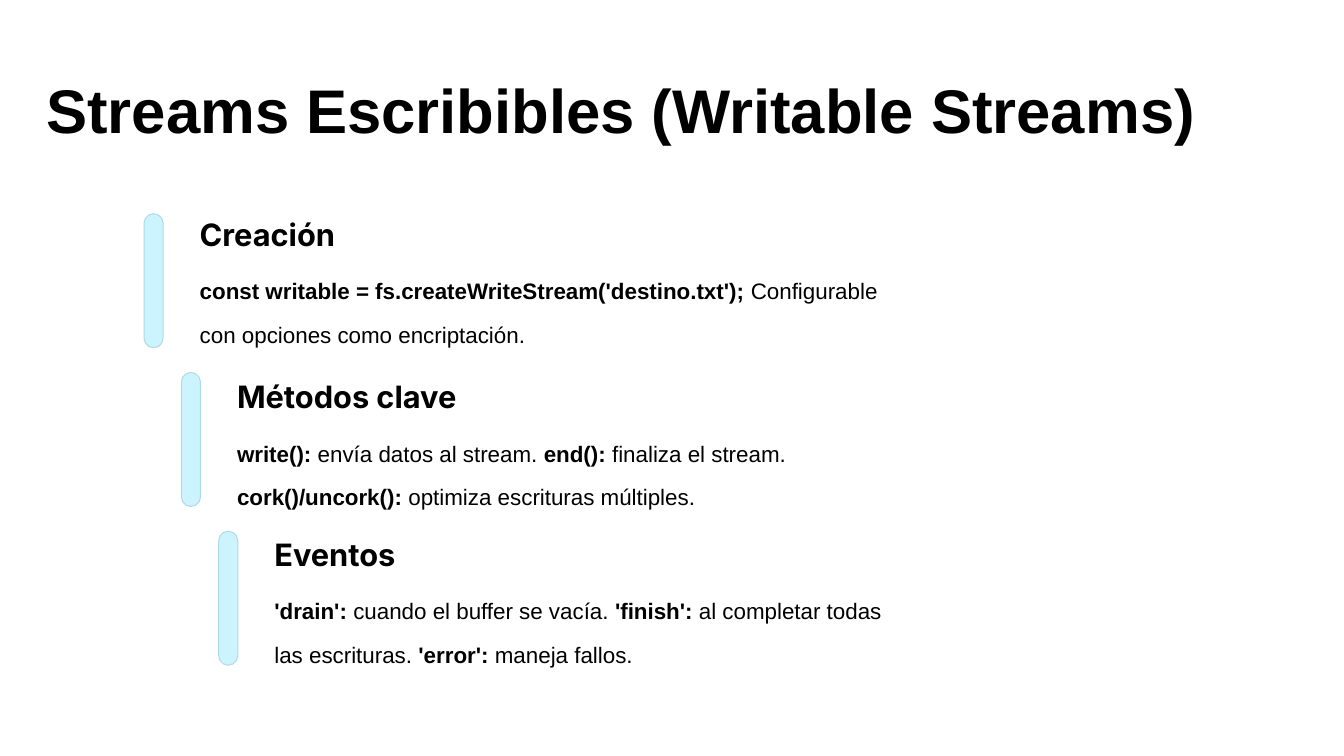
import pptx
import pptx.dml.color
import pptx.enum.shapes
import pptx.enum.text
import pptx.util

BLACK = pptx.dml.color.RGBColor(0x00, 0x00, 0x00)
WHITE = pptx.dml.color.RGBColor(0xFF, 0xFF, 0xFF)
PALE_CYAN = pptx.dml.color.RGBColor(0xCC, 0xF4, 0xFF)
SOFT_BLUE = pptx.dml.color.RGBColor(0xB2, 0xDA, 0xE5)

WIDTH = pptx.util.Inches(13.33)
HEIGHT = pptx.util.Inches(7.5)
COLUMN = WIDTH / 36
ROW = HEIGHT / 100

FIRST_BAR_COLUMN = 3.86
FIRST_BAR_ROW = 28.27
SECTION_ROWS = 21
TEXT_INDENT = 1.49
BODY_DROP = 7.15
BODY_RIGHT = 24.03

SECTIONS = [
    ("Creación", 27.33, [
        ("const writable = fs.createWriteStream('destino.txt'); ", True),
        ("Configurable con opciones como encriptación.", False),
    ]),
    ("Métodos clave", 48.8, [
        ("write(): ", True),
        ("envía datos al stream. ", False),
        ("end(): ", True),
        ("finaliza el stream. ", False),
        ("cork()/uncork(): ", True),
        ("optimiza escrituras múltiples.", False),
    ]),
    ("Eventos", 69.6, [
        ("'drain': ", True),
        ("cuando el buffer se vacía. ", False),
        ("'finish': ", True),
        ("al completar todas las escrituras. ", False),
        ("'error': ", True),
        ("maneja fallos.", False),
    ]),
]


def grid_box(column, row, columns, rows):
    return [round(length) for length in
            (column * COLUMN, row * ROW, columns * COLUMN, rows * ROW)]


def format_run(run, font, size, bold):
    run.font.name = font
    run.font.size = pptx.util.Pt(size)
    run.font.bold = bold
    run.font.color.rgb = BLACK


def add_title(slide, wording):
    title = slide.shapes.title
    title.left, title.top, title.width, title.height = grid_box(0.97, 5.33, 31.43, 19.33)
    frame = title.text_frame
    frame.text = wording
    frame.word_wrap = True
    frame.auto_size = pptx.enum.text.MSO_AUTO_SIZE.NONE
    frame.vertical_anchor = pptx.enum.text.MSO_ANCHOR.MIDDLE
    line = frame.paragraphs[0]
    line.alignment = pptx.enum.text.PP_ALIGN.LEFT
    line.line_spacing = 0.9
    format_run(line.runs[0], "Arial", 44, True)


def add_bar(slide, column, row):
    bar = slide.shapes.add_shape(
        pptx.enum.shapes.MSO_SHAPE.ROUNDED_RECTANGLE,
        *grid_box(column, row, 0.51, 17.73))
    bar.adjustments[0] = 0.5
    bar.shadow.inherit = False
    bar.fill.solid()
    bar.fill.fore_color.rgb = PALE_CYAN
    bar.line.color.rgb = SOFT_BLUE
    bar.line.width = pptx.util.Pt(0.75)


def add_text(slide, box, pieces, font, size, spacing):
    frame = slide.shapes.add_textbox(*box).text_frame
    frame.word_wrap = True
    frame.margin_left = frame.margin_right = 0
    frame.margin_top = frame.margin_bottom = 0
    paragraph = frame.paragraphs[0]
    paragraph.line_spacing = spacing
    for wording, bold in pieces:
        run = paragraph.add_run()
        run.text = wording
        format_run(run, font, size, bold)


def add_section(slide, step, heading, heading_row, body):
    bar_column = FIRST_BAR_COLUMN + step
    text_column = bar_column + TEXT_INDENT
    add_bar(slide, bar_column, FIRST_BAR_ROW + step * SECTION_ROWS)
    add_text(slide, grid_box(text_column, heading_row, 8.37, 5.2),
             [(heading, True)], "Inter", 22, 1.25)
    add_text(slide, grid_box(text_column, heading_row + BODY_DROP,
                             BODY_RIGHT - text_column, 10.53),
             body, "Arial", 16, 1.63)


def main():
    deck = pptx.Presentation()
    deck.slide_width = WIDTH
    deck.slide_height = HEIGHT
    slide = deck.slides.add_slide(deck.slide_layouts[5])
    slide.background.fill.solid()
    slide.background.fill.fore_color.rgb = WHITE
    add_title(slide, "Streams Escribibles (Writable Streams)")
    for step, (heading, heading_row, body) in enumerate(SECTIONS):
        add_section(slide, step, heading, heading_row, body)
    deck.save("out.pptx")


if __name__ == "__main__":
    main()
